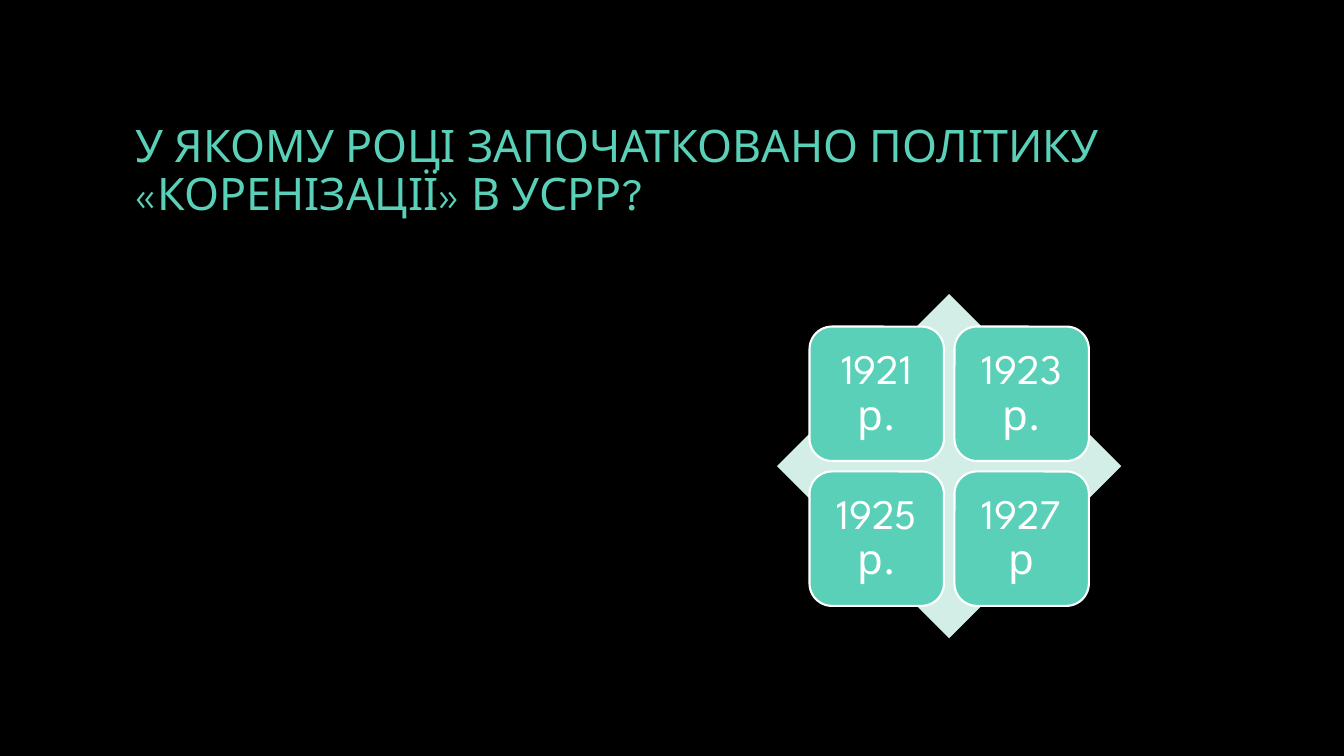
import pptx
import pptx.util
import pptx.dml.color
import pptx.enum.shapes
import pptx.enum.text

Pt = pptx.util.Pt
SHAPES = pptx.enum.shapes.MSO_SHAPE
MIDDLE = pptx.enum.text.MSO_ANCHOR.MIDDLE
CENTER = pptx.enum.text.PP_ALIGN.CENTER

QUESTION = "У ЯКОМУ РОЦІ ЗАПОЧАТКОВАНО ПОЛІТИКУ «КОРЕНІЗАЦІЇ» В УСРР?"
ANSWERS = ["1921 р.", "1923 р.", "1925 р.", "1927 р"]
COLORS = {"background": "000000", "mint": "5AD0B8", "pale": "D2EEE6", "white": "FFFFFF"}
FONT = "League Spartan"

DIAMOND_LEFT, DIAMOND_TOP, DIAMOND_SIZE = 555, 210, 246
TILE_SIZE, TILE_STEP = 96, 103.5
TILE_INSET = 8.7


def color(name):
    return pptx.dml.color.RGBColor.from_string(COLORS[name])


def add_filled(page, kind, left, top, size, fill):
    shape = page.shapes.add_shape(kind, Pt(left), Pt(top), Pt(size), Pt(size))
    shape.shadow.inherit = False
    shape.fill.solid()
    shape.fill.fore_color.rgb = color(fill)
    shape.line.fill.background()
    return shape


def write(shape, text, size, ink):
    frame = shape.text_frame
    frame.word_wrap = True
    frame.vertical_anchor = MIDDLE
    para = frame.paragraphs[0]
    para.text = text
    para.line_spacing = 0.9
    para.font.name = FONT
    para.font.size = Pt(size)
    para.font.color.rgb = color(ink)
    return frame


def add_answer(page, index, text):
    row, column = divmod(index, 2)
    margin = (DIAMOND_SIZE - TILE_STEP - TILE_SIZE) / 2
    left = DIAMOND_LEFT + margin + column * TILE_STEP
    top = DIAMOND_TOP + margin + row * TILE_STEP
    tile = add_filled(page, SHAPES.ROUNDED_RECTANGLE, left, top, TILE_SIZE, "mint")
    tile.line.color.rgb = color("white")
    tile.line.width = Pt(1.5)
    frame = write(tile, text, 30, "white")
    frame.paragraphs[0].alignment = CENTER
    frame.margin_left = frame.margin_right = Pt(TILE_INSET)
    frame.margin_top = frame.margin_bottom = Pt(TILE_INSET)


def main():
    deck = pptx.Presentation()
    deck.slide_width, deck.slide_height = Pt(960), Pt(540)
    page = deck.slides.add_slide(deck.slide_layouts[6])
    page.background.fill.solid()
    page.background.fill.fore_color.rgb = color("background")

    title = page.shapes.add_textbox(Pt(90), Pt(48), Pt(780), Pt(150))
    write(title, QUESTION, 32, "mint")

    add_filled(page, SHAPES.DIAMOND, DIAMOND_LEFT, DIAMOND_TOP, DIAMOND_SIZE, "pale")
    for index, answer in enumerate(ANSWERS):
        add_answer(page, index, answer)

    deck.save("out.pptx")


if __name__ == "__main__":
    main()
